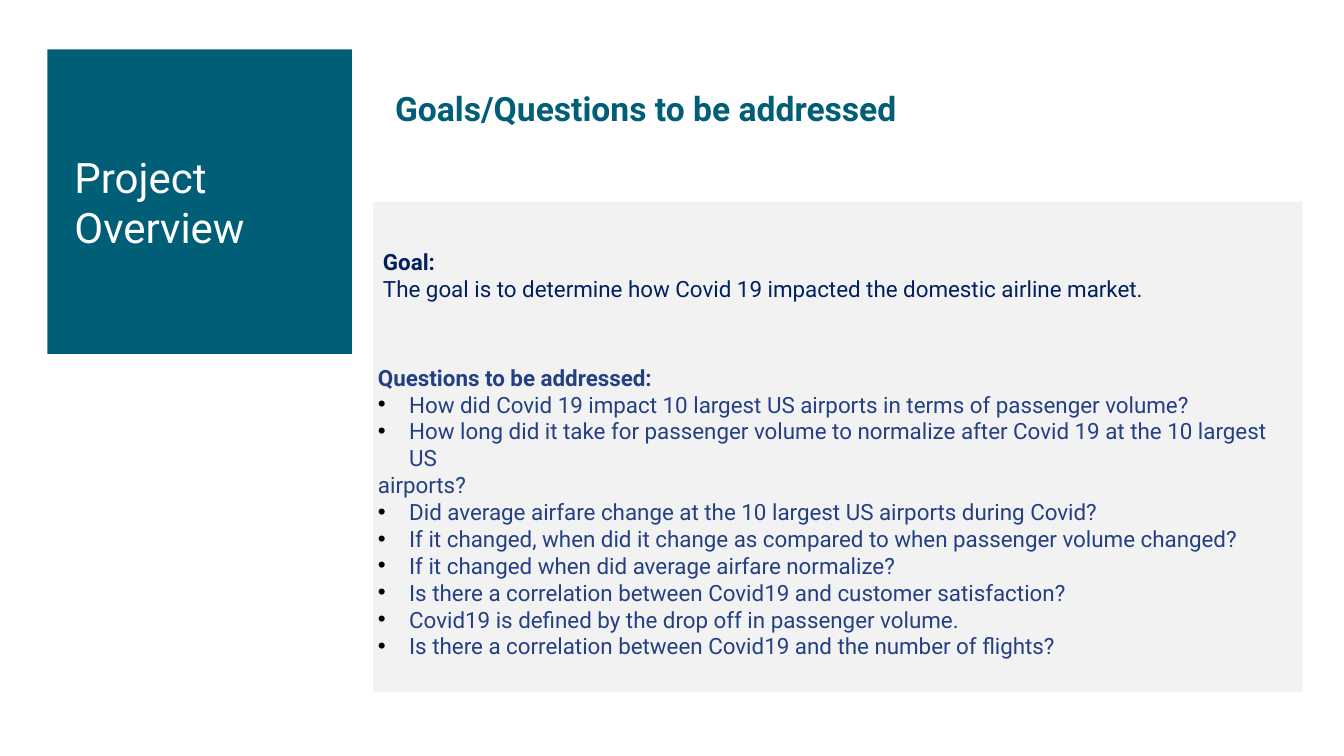
"""Build the project overview slide with its goal and questions."""
import dataclasses

import lxml.etree
import pptx
import pptx.dml.color
import pptx.enum.shapes
import pptx.enum.text
import pptx.oxml.ns
import pptx.slide
import pptx.text.text
import pptx.util

PX = 9144
FONT = "Roboto"
INDENT = 31
COLORS = {
    "teal": "005E77",
    "panel": "F2F2F2",
    "white": "FFFFFF",
    "navy": "002060",
    "blue": "244084",
    "bullet": "000000",
}


@dataclasses.dataclass(frozen=True)
class Block:
    left: int
    top: int
    width: int
    height: int
    color: str


@dataclasses.dataclass(frozen=True)
class Line:
    text: str
    bold: bool = False
    bullet: bool = False


@dataclasses.dataclass(frozen=True)
class Caption:
    left: int
    top: int
    width: int
    height: int
    color: str
    size: int
    lines: tuple[Line, ...]
    inset: tuple[int, int] = (10, 10)
    spacing: float | None = None
    wrap: bool = True
    grow: bool = True
    middle: bool = False


BLOCKS = (
    Block(370, 200, 922, 487, "panel"),
    Block(47, 49, 302, 302, "teal"),
)

QUESTIONS = (
    Line("Questions to be addressed:", bold=True),
    Line("How did Covid 19 impact 10 largest US airports in terms of passenger volume?", bullet=True),
    Line(
        "How long did it take for passenger volume to normalize after Covid 19 at the 10 largest US",
        bullet=True,
    ),
    Line("airports?"),
    Line("Did average airfare change at the 10 largest US airports during Covid?", bullet=True),
    Line("If it changed, when did it change as compared to when passenger volume changed?", bullet=True),
    Line("If it changed when did average airfare normalize?", bullet=True),
    Line("Is there a correlation between Covid19 and customer satisfaction?", bullet=True),
    Line("Covid19 is defined by the drop off in passenger volume.", bullet=True),
    Line("Is there a correlation between Covid19 and the number of flights?", bullet=True),
)

GOAL = (
    Line("Goal:", bold=True),
    Line("The goal is to determine how Covid 19 impacted the domestic airline market."),
)

CAPTIONS = (
    Caption(382, 82, 932, 57, "teal", 24, (Line("Goals/Questions to be addressed", bold=True),), spacing=0.9),
    Caption(365, 351, 932, 316, "blue", 16, QUESTIONS),
    Caption(64, 166, 263, 68, "white", 30, (Line("Project Overview"),), grow=False, middle=True),
    Caption(370, 241, 781, 88, "navy", 16, GOAL, inset=(10, 5), wrap=False),
)


def rgb(name: str) -> pptx.dml.color.RGBColor:
    return pptx.dml.color.RGBColor.from_string(COLORS[name])


def frame(item: Block | Caption) -> tuple[int, int, int, int]:
    return item.left * PX, item.top * PX, item.width * PX, item.height * PX


def draw_block(page: pptx.slide.Slide, block: Block) -> None:
    shape = page.shapes.add_shape(pptx.enum.shapes.MSO_SHAPE.RECTANGLE, *frame(block))
    shape.shadow.inherit = False
    shape.fill.solid()
    shape.fill.fore_color.rgb = rgb(block.color)
    shape.line.fill.background()


def add_bullet(para: pptx.text.text._Paragraph) -> None:
    qn = pptx.oxml.ns.qn
    properties = para._p.get_or_add_pPr()
    properties.set("marL", str(INDENT * PX))
    properties.set("indent", str(-INDENT * PX))
    color = lxml.etree.SubElement(properties, qn("a:buClr"))
    lxml.etree.SubElement(color, qn("a:srgbClr"), val=COLORS["bullet"])
    lxml.etree.SubElement(properties, qn("a:buFont"), typeface="Arial")
    lxml.etree.SubElement(properties, qn("a:buChar"), char="•")


def draw_caption(page: pptx.slide.Slide, caption: Caption) -> None:
    box = page.shapes.add_textbox(*frame(caption))
    text_frame = box.text_frame
    text_frame.text = "\n".join(line.text for line in caption.lines)
    text_frame.word_wrap = caption.wrap
    sizing = pptx.enum.text.MSO_AUTO_SIZE
    text_frame.auto_size = sizing.SHAPE_TO_FIT_TEXT if caption.grow else sizing.NONE
    anchor = pptx.enum.text.MSO_ANCHOR
    text_frame.vertical_anchor = anchor.MIDDLE if caption.middle else anchor.TOP
    side, end = caption.inset
    text_frame.margin_left = text_frame.margin_right = side * PX
    text_frame.margin_top = text_frame.margin_bottom = end * PX
    for line, para in zip(caption.lines, text_frame.paragraphs):
        if caption.spacing:
            para.line_spacing = caption.spacing
        if line.bullet:
            add_bullet(para)
        for span in para.runs:
            span.font.name = FONT
            span.font.size = pptx.util.Pt(caption.size)
            span.font.bold = line.bold
            span.font.color.rgb = rgb(caption.color)


def main() -> None:
    deck = pptx.Presentation()
    deck.slide_width, deck.slide_height = 1333 * PX, 750 * PX
    page = deck.slides.add_slide(deck.slide_layouts[6])
    for block in BLOCKS:
        draw_block(page, block)
    for caption in CAPTIONS:
        draw_caption(page, caption)
    deck.save("out.pptx")


if __name__ == "__main__":
    main()
